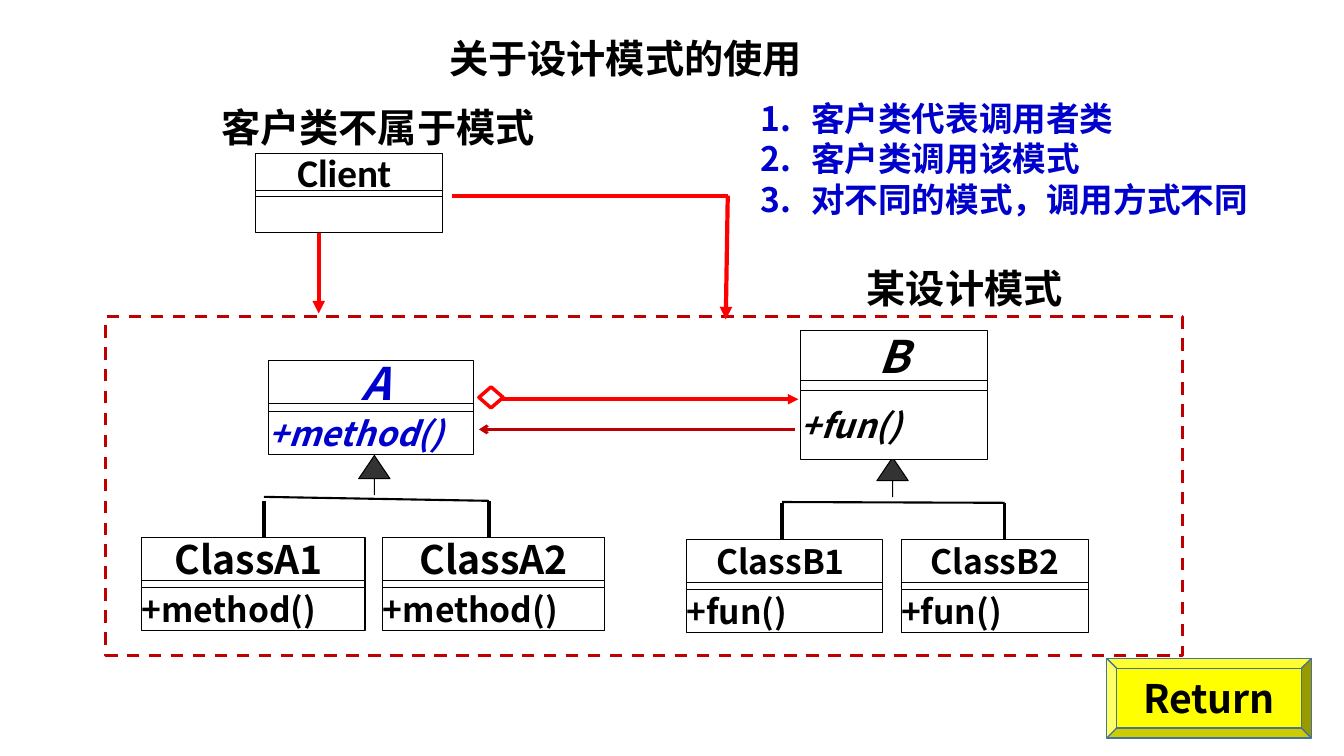
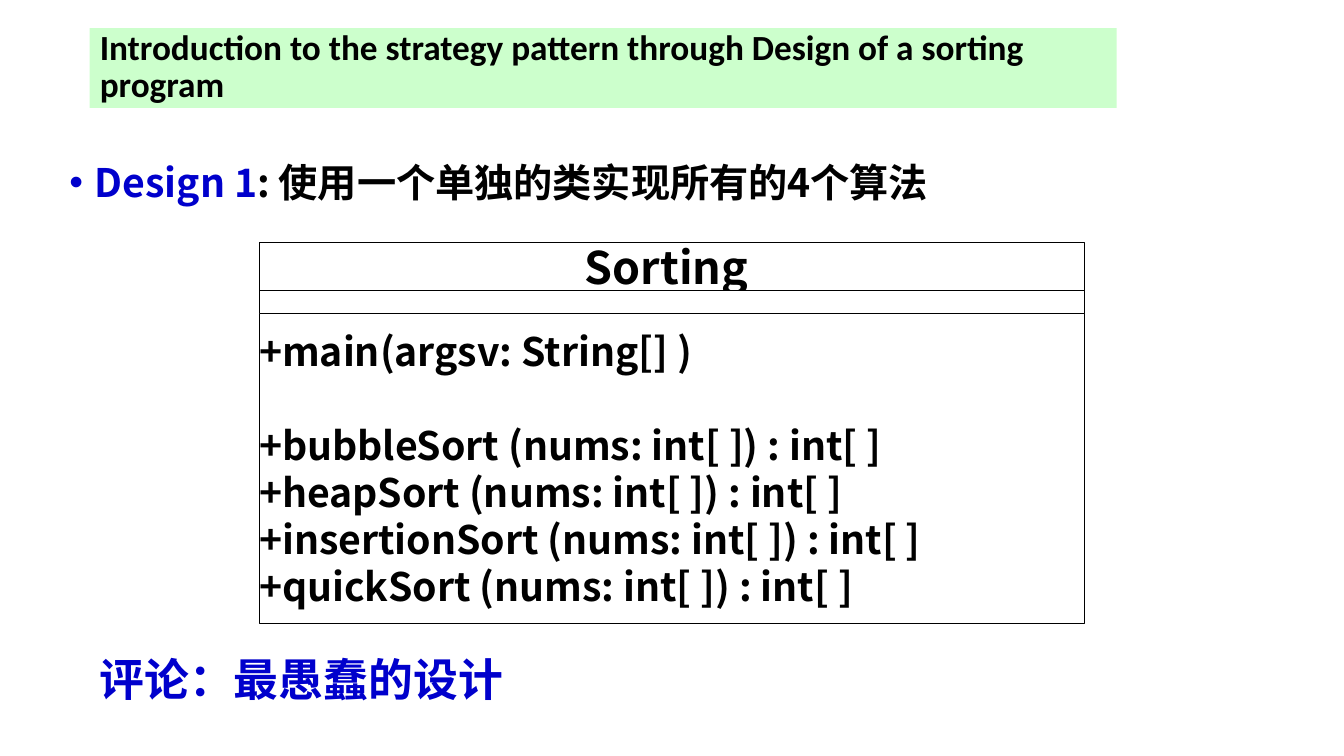
from lxml import etree
from pptx import Presentation
from pptx.dml.color import RGBColor
from pptx.enum import dml, shapes, text
from pptx.oxml.ns import qn
from pptx.util import Cm, Pt

COLORS = {
    "ink": "000000", "paper": "FFFFFF", "blue": "0000CC", "red": "FF0000",
    "crimson": "C00000", "charcoal": "333333", "yellow": "FFFF00",
    "steel": "43739E", "mint": "CCFFCC",
}
SANS, LATIN = "Noto Sans CJK SC", "Calibri"
LINE_FACTOR = 1.2
LEFT, CENTER = text.PP_ALIGN.LEFT, text.PP_ALIGN.CENTER
SHAPE = shapes.MSO_SHAPE

# All places and lengths are in centimetres.
USAGE_TITLE = "关于设计模式的使用"
CLIENT_NOTES = ["客户类代表调用者类", "客户类调用该模式", "对不同的模式，调用方式不同"]
LABELS = [  # text, place, alignment
    ("某设计模式", (20.07, 6.53, 8.48, 1.45), CENTER),
    ("客户类不属于模式", (5.33, 2.49, 8.46, 1.45), LEFT),
]
ROW = (1.09, 0.18, 1.09)  # heights of name, attributes and methods
CLASSES = [  # name, methods, (left, top, width), heights, name font, method font
    ("B", ["+fun()"], (20.17, 8.33, 4.72), (1.27, 0.25, 1.73),
     dict(size=32, italic=True), dict(italic=True)),
    (" A", ["+method()"], (6.76, 9.09, 5.18), ROW,
     dict(size=32, italic=True, color="blue"), dict(italic=True, color="blue")),
    ("ClassA1 ", ["+method()"], (3.56, 13.54, 5.64), ROW, dict(size=28), {}),
    ("ClassA2", ["+method()"], (9.65, 13.54, 5.58), ROW, dict(size=28), {}),
    ("ClassB1 ", ["+fun()"], (17.3, 13.59, 4.93), ROW, {}, {}),
    ("ClassB2", ["+fun()"], (22.71, 13.59, 4.72), ROW, {}, {}),
    ("Client ", [], (6.43, 3.86, 4.72), (0.94, 0.15, 0.91),
     dict(size=28, name=LATIN), {}),
]
INHERITANCE = [  # bar start, bar end, top of subclasses, place of arrow
    ((6.65, 12.52), (12.32, 12.62), 13.54, (9.04, 11.48)),
    ((19.71, 12.65), (25.32, 12.67), 13.59, (22.1, 11.53)),
]
CALLS = [  # start, end, colour, width, arrowhead
    ((12.32, 10.06), (20.12, 10.06), "red", 2.5, "triangle"),
    ((20.04, 10.82), (12.07, 10.82), "crimson", 2, "arrow"),
    ((8.03, 5.87), (8.03, 7.9), "red", 3, "triangle"),
    ((11.4, 4.93), (18.34, 4.93), "red", 3, None),
    ((18.34, 4.93), (18.29, 8.05), "red", 3, "triangle"),
]

SORT_TITLE = "Introduction to the strategy pattern through Design of a sorting program"
DESIGN = [("Design 1", "blue"), (": 使用一个单独的类实现所有的4个算法", "ink")]
SORT_METHODS = ["+main(argsv: String[] )"] + [
    f"+{kind}Sort (nums: int[ ]) : int[ ]"
    for kind in ("bubble", "heap", "insertion", "quick")
]
COMMENT = "评论：最愚蠢的设计"


def rgb(color):
    return RGBColor.from_string(COLORS[color])


def cms(values):
    return [Cm(value) for value in values]


def set_font(font, size=24, color="ink", name=SANS, italic=False):
    font.size, font.bold, font.italic, font.name = Pt(size), True, italic, name
    font.color.rgb = rgb(color)
    etree.SubElement(font._element, qn("a:ea"), typeface=name)


def style(paragraph, align=LEFT, spacing=None, **font):
    """Align a paragraph and fix its line pitch and font."""
    paragraph.alignment = align
    paragraph.line_spacing = Pt(spacing or font.get("size", 24) * LINE_FACTOR)
    set_font(paragraph.font, **font)


def write(frame, lines, bullet=None, **look):
    frame.word_wrap = True
    for i, line in enumerate(lines):
        paragraph = frame.paragraphs[0] if i == 0 else frame.add_paragraph()
        paragraph.text = line
        if bullet:
            add_bullet(paragraph, *bullet)
        style(paragraph, **look)


def add_bullet(paragraph, tag, indent, **attributes):
    props = paragraph._p.get_or_add_pPr()
    props.set("marL", str(Cm(indent)))
    props.set("indent", str(-Cm(indent)))
    color = etree.SubElement(props, qn("a:buClr"))
    etree.SubElement(color, qn("a:srgbClr"), val=COLORS["blue"])
    kind, value = tag
    if kind == "a:buChar":
        etree.SubElement(props, qn("a:buFont"), typeface="Arial")
    key = "char" if kind == "a:buChar" else "type"
    etree.SubElement(props, qn(kind), {key: value})


def add_text(slide, place, lines, **look):
    box = slide.shapes.add_textbox(*cms(place))
    write(box.text_frame, lines, **look)
    return box


def add_title(slide, place, line, **look):
    title = slide.shapes.title
    title.left, title.top, title.width, title.height = cms(place)
    frame = title.text_frame
    frame.auto_size = text.MSO_AUTO_SIZE.NONE
    frame.vertical_anchor = text.MSO_ANCHOR.MIDDLE
    write(frame, [line], **look)
    return title


def add_box(slide, kind, place, fill="paper", line="ink", width=0.75):
    box = slide.shapes.add_shape(kind, *cms(place))
    box.shadow.inherit = False
    if fill:
        box.fill.solid()
        box.fill.fore_color.rgb = rgb(fill)
    else:
        box.fill.background()
    box.line.color.rgb = rgb(line)
    box.line.width = Pt(width)
    return box


def add_line(slide, start, end, color="ink", width=2.5, head=None):
    line = slide.shapes.add_connector(shapes.MSO_CONNECTOR.STRAIGHT,
                                      *cms(start + end))
    line.line.color.rgb = rgb(color)
    line.line.width = Pt(width)
    if head:
        etree.SubElement(line.line._get_or_add_ln(), qn("a:tailEnd"), type=head)
    etree.SubElement(line._element.spPr, qn("a:effectLst"))


def add_class(slide, name, methods, place, heights, name_font, method_font):
    """Stack the name, attribute and method compartments of a class."""
    left, top, width = place
    name_h, attribute_h, method_h = heights
    attribute_top = top + name_h
    method_top = attribute_top + attribute_h
    compartments = [
        (top, name_h, [name], dict(align=CENTER, **name_font)),
        (method_top, method_h, methods, method_font),
        (attribute_top, attribute_h, [], {}),
    ]
    for y, height, lines, look in compartments:
        box = add_box(slide, SHAPE.RECTANGLE, (left, y, width, height))
        frame = box.text_frame
        frame.margin_left = frame.margin_right = 0
        frame.margin_top = frame.margin_bottom = 0
        frame.vertical_anchor = text.MSO_ANCHOR.MIDDLE
        write(frame, lines, **look)
        if lines is methods and len(lines) > 1:
            frame.paragraphs[1].space_before = Pt(look["size"] * LINE_FACTOR)


def add_inheritance(slide, start, end, subclass_top, arrow_place):
    add_line(slide, start, end, width=1.5)
    for x, _ in (start, end):
        add_line(slide, (x, end[1]), (x, subclass_top))
    arrow = add_box(slide, SHAPE.UP_ARROW, arrow_place + (0.79, 0.99), "charcoal")
    arrow.adjustments[0], arrow.adjustments[1] = 0, 0.74


def build_usage(slide):
    add_title(slide, (11.07, 0.56, 14.05, 1.78), USAGE_TITLE, size=28)
    pattern = add_box(slide, SHAPE.RECTANGLE, (2.67, 7.98, 27.13, 8.53),
                      None, "crimson", 2.25)
    pattern.line.dash_style = dml.MSO_LINE.DASH
    for tree in INHERITANCE:
        add_inheritance(slide, *tree)
    for parts in CLASSES:
        add_class(slide, *parts)
    for call in CALLS:
        add_line(slide, *call)
    add_box(slide, SHAPE.DIAMOND, (12.07, 9.75, 0.61, 0.53), "paper", "red", 2.5)
    for label, place, align in LABELS:
        add_text(slide, place, [label], size=28, align=align)
    add_text(slide, (18.92, 2.34, 14.12, 3.33), CLIENT_NOTES, color="blue",
             bullet=(("a:buAutoNum", "arabicPeriod"), 1.27))
    button = add_box(slide, SHAPE.BEVEL, (27.89, 16.59, 5.16, 2.01),
                     "yellow", "steel", 1)
    button.text_frame.vertical_anchor = text.MSO_ANCHOR.MIDDLE
    write(button.text_frame, ["Return"], size=28, align=CENTER)


def build_sorting(slide):
    title = add_title(slide, (2.26, 0.71, 25.88, 2.01), SORT_TITLE,
                      size=25.2, name=LATIN, spacing=26)
    title.fill.solid()
    title.fill.fore_color.rgb = rgb("mint")
    design = add_text(slide, (1.5, 3.86, 23.09, 1.47), [""], size=28,
                      bullet=(("a:buChar", "•"), 0.64))
    for words, color in DESIGN:
        run = design.text_frame.paragraphs[0].add_run()
        run.text = words
        set_font(run.font, 28, color)
    add_class(slide, "Sorting ", SORT_METHODS, (6.53, 6.12, 20.8),
              (1.21, 0.58, 7.8), dict(size=32), dict(size=28))
    add_text(slide, (2.26, 16.31, 12.27, 1.63), [COMMENT], size=32, color="blue")


def main():
    deck = Presentation()
    deck.slide_width, deck.slide_height = Cm(33.87), Cm(19.05)
    title_only = deck.slide_layouts[5]
    for build in (build_usage, build_sorting):
        build(deck.slides.add_slide(title_only))
    deck.save("out.pptx")


if __name__ == "__main__":
    main()
